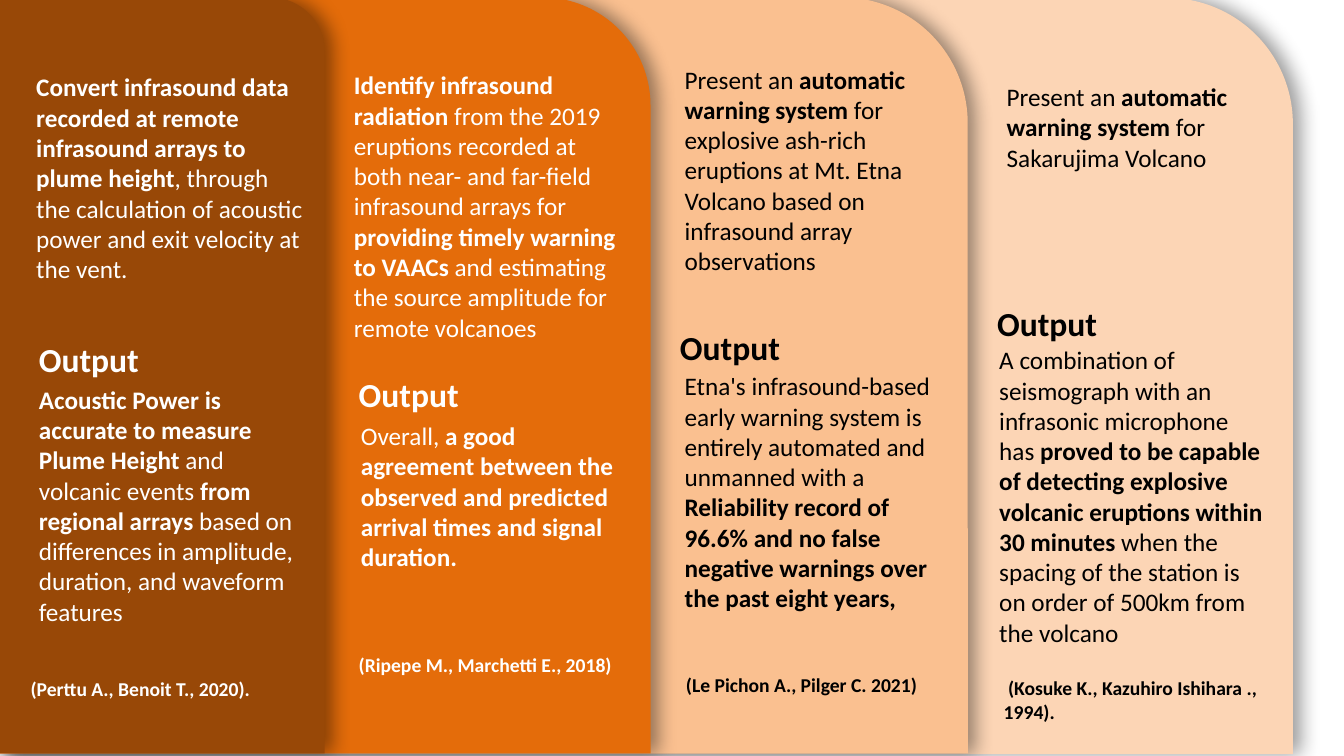
from lxml.etree import SubElement
from pptx import Presentation
from pptx.dml.color import RGBColor
from pptx.enum.shapes import MSO_SHAPE as Shape
from pptx.enum.text import MSO_AUTO_SIZE as AutoSize
from pptx.oxml.ns import qn
from pptx.util import Cm, Pt

WIDTH, HEIGHT = 50.8, 28.58
TEXT_WIDTH = 10.57
WHITE, BLACK = "FFFFFF", "000000"

# Back to front: fill, left, top, width
PANELS = [
    ("FCD5B5", -0.13, -0.08, 49),
    ("FAC090", 0, -0.1, 36.58),
    ("E46C0A", 0, -0.1, 24.59),
    ("984807", -0.05, -0.1, 12.32),
]

# Each text: left, top, number of lines, wording (**bold**)
COLUMNS = [
    {
        "color": WHITE,
        "aim": (1.12, 2.59, 7,
                "**Convert infrasound data recorded at remote infrasound arrays to plume "
                "height**, through the calculation of acoustic power and exit velocity at the vent."),
        "heading": (1.22, 12.7, 1, "**Output**"),
        "output": (1.22, 14.4, 8,
                   "**Acoustic Power is accurate to measure Plume Height **and volcanic events "
                   "**from regional arrays** based on differences in amplitude, duration, "
                   "and waveform features"),
        "citation": (0.91, 25.45, 1, "**(Perttu A., Benoit T., 2020).**"),
    },
    {
        "color": WHITE,
        "aim": (13.13, 2.51, 9,
                "**Identify infrasound radiation** from the 2019 eruptions recorded at both "
                "near- and far-field infrasound arrays for **providing timely warning to VAACs** "
                "and estimating the source amplitude for remote volcanoes"),
        "heading": (13.31, 14.02, 1, "**Output**"),
        "output": (13.39, 15.77, 5,
                   "Overall, **a good agreement between the observed and predicted arrival "
                   "times and signal duration.**"),
        "citation": (13.31, 24.54, 1, "**(Ripepe M., Marchetti E., 2018)**"),
    },
    {
        "color": BLACK,
        "aim": (25.63, 2.29, 7,
                "Present an **automatic warning system **for explosive ash-rich eruptions at "
                "Mt. Etna Volcano based on infrasound array observations"),
        "heading": (25.45, 12.22, 1, "**Output**"),
        "output": (25.63, 13.89, 8,
                   "Etna's infrasound-based early warning system is entirely automated and "
                   "unmanned with a **Reliability record of 96.6% and no false negative "
                   "warnings over the past eight years,**"),
        "citation": (25.68, 25.3, 1, "**(Le Pichon A., Pilger C. 2021)**"),
    },
    {
        "color": BLACK,
        "aim": (37.8, 2.95, 3,
                "Present an **automatic warning system **for Sakarujima Volcano"),
        "heading": (37.44, 11.33, 1, "**Output**"),
        "output": (37.52, 12.9, 10,
                   "A combination of seismograph with an infrasonic microphone has **proved to "
                   "be capable of detecting explosive volcanic eruptions within 30 minutes **when "
                   "the spacing of the station is on order of 500km from the volcano"),
        "citation": (37.69, 25.43, 2, "** (Kosuke K., Kazuhiro Ishihara ., 1994).**"),
    },
]
SIZES = {"aim": 27, "heading": 36, "output": 27, "citation": 21}


def rgb(color):
    return RGBColor.from_string(color)


def add_shadow(shape):
    """Cast a soft shadow to the right of the shape."""
    effects = SubElement(shape._element.spPr, qn("a:effectLst"))
    shadow = SubElement(effects, qn("a:outerShdw"), blurRad=str(Cm(0.7)),
                        dist=str(Cm(0.3)), dir="0", algn="l", rotWithShape="0")
    shade = SubElement(shadow, qn("a:srgbClr"), val=BLACK)
    SubElement(shade, qn("a:alpha"), val="40000")


def add_panel(slide, fill, left, top, width):
    panel = slide.shapes.add_shape(
        Shape.ROUND_1_RECTANGLE, Cm(left), Cm(top), Cm(width), Cm(HEIGHT))
    panel.fill.solid()
    panel.fill.fore_color.rgb = rgb(fill)
    panel.line.fill.background()
    add_shadow(panel)


def add_text(slide, left, top, lines, wording, size, color):
    height = Cm(0.25) + lines * Pt(size * 1.21)
    box = slide.shapes.add_textbox(Cm(left), Cm(top), Cm(TEXT_WIDTH), height)
    frame = box.text_frame
    frame.word_wrap = True
    frame.auto_size = AutoSize.SHAPE_TO_FIT_TEXT
    para = frame.paragraphs[0]
    para.font.name = "Calibri"
    para.font.size = Pt(size)
    para.font.color.rgb = rgb(color)
    for index, part in enumerate(wording.split("**")):
        if part:
            span = para.add_run()
            span.text = part
            span.font.bold = index % 2 == 1


def main():
    deck = Presentation()
    deck.slide_width, deck.slide_height = Cm(WIDTH), Cm(HEIGHT)
    slide = deck.slides.add_slide(deck.slide_layouts.get_by_name("Blank"))
    for panel in PANELS:
        add_panel(slide, *panel)
    for column in COLUMNS:
        for part, size in SIZES.items():
            add_text(slide, *column[part], size, column["color"])
    deck.save("out.pptx")


if __name__ == "__main__":
    main()
